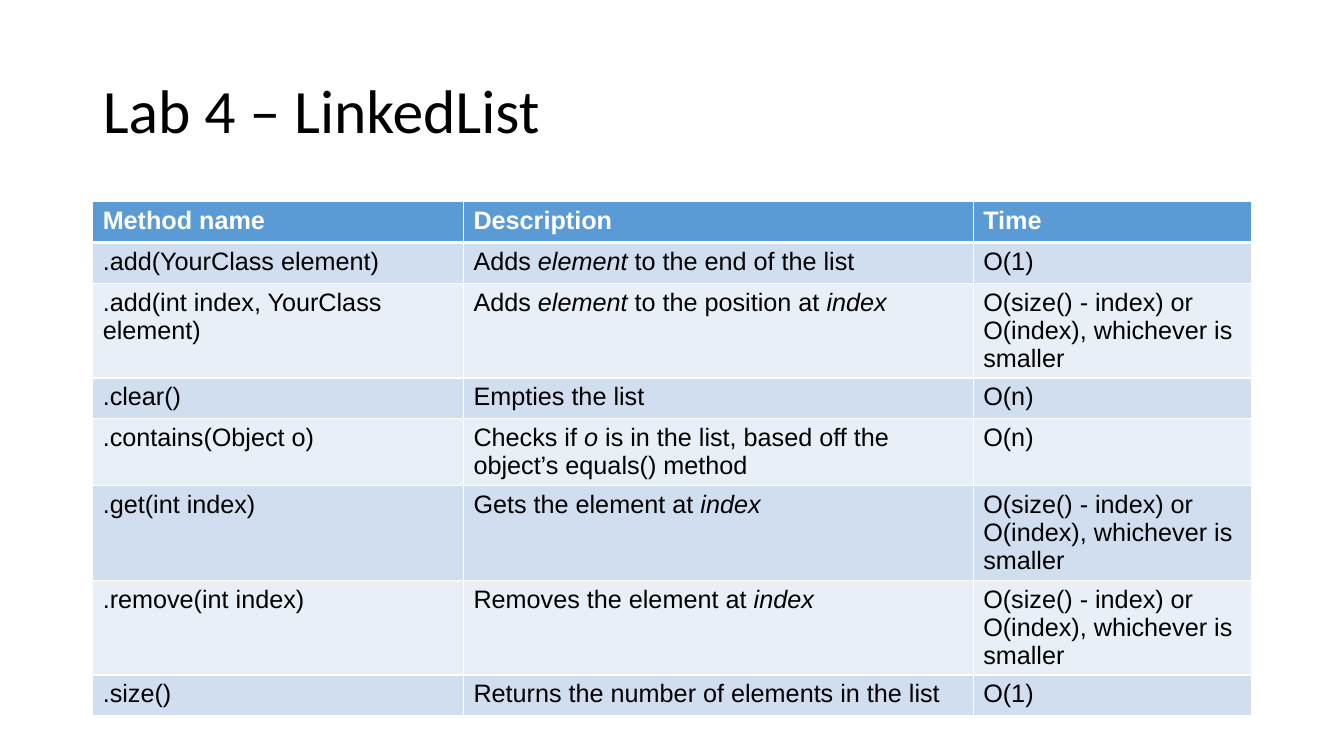
"""Build the Lab 4 slide that lists LinkedList methods and their running times."""
from dataclasses import dataclass

from lxml.etree import SubElement
from pptx import Presentation
from pptx.dml.color import RGBColor
from pptx.enum.text import MSO_ANCHOR, MSO_AUTO_SIZE, PP_ALIGN
from pptx.oxml.ns import qn
from pptx.util import Inches, Pt

COLORS = {
    "header": "5B9BD5",
    "odd": "D0DEEF",
    "even": "E9EFF7",
    "white": "FFFFFF",
    "black": "000000",
}
SLIDE_WIDTH, SLIDE_HEIGHT = Inches(13.333), Inches(7.5)
GRID_COLUMNS, GRID_ROWS = 29, 150
MARGIN_COLUMNS = 2
TITLE_TOP, TITLE_ROWS = 8, 29
TABLE_TOP, TABLE_ROW_ROWS = 40, 8.11
COLUMN_SPANS = (8, 11, 6)
HEADINGS = ("Method name", "Description", "Time")
NEAREST_END = "O(size() - index) or O(index), whichever is smaller"


@dataclass(frozen=True)
class Method:
    """A list method, with italic words of its description between asterisks."""
    signature: str
    description: str
    time: str


METHODS = (
    Method(".add(YourClass element)", "Adds *element* to the end of the list", "O(1)"),
    Method(".add(int index, YourClass element)",
           "Adds *element* to the position at *index*", NEAREST_END),
    Method(".clear()", "Empties the list", "O(n)"),
    Method(".contains(Object o)",
           "Checks if *o* is in the list, based off the object’s equals() method", "O(n)"),
    Method(".get(int index)", "Gets the element at *index*", NEAREST_END),
    Method(".remove(int index)", "Removes the element at *index*", NEAREST_END),
    Method(".size()", "Returns the number of elements in the list", "O(1)"),
)


def across(columns: float) -> int:
    """Return the width of a number of grid columns."""
    return round(SLIDE_WIDTH * columns / GRID_COLUMNS)


def down(rows: float) -> int:
    """Return the height of a number of grid rows."""
    return round(SLIDE_HEIGHT * rows / GRID_ROWS)


def write(frame, text: str, *, font: str = "Arial", size: float = 18,
          color: str = "black", bold: bool = False, spacing: float = 1.0) -> None:
    """Fill a text frame with one paragraph, italic between asterisks."""
    paragraph = frame.paragraphs[0]
    paragraph.alignment = PP_ALIGN.LEFT
    paragraph.line_spacing = spacing
    for position, part in enumerate(text.split("*")):
        if part:
            run = paragraph.add_run()
            run.text = part
            run.font.name = font
            run.font.size = Pt(size)
            run.font.bold = bold
            run.font.italic = position % 2 == 1
            run.font.color.rgb = RGBColor.from_string(COLORS[color])


def add_borders(cell, top: float, bottom: float) -> None:
    """Draw white borders of the given point widths around a cell."""
    properties = cell._tc.get_or_add_tcPr()
    for side, width in (("L", 1), ("R", 1), ("T", top), ("B", bottom)):
        border = SubElement(properties, qn(f"a:ln{side}"), w=str(Pt(width)))
        fill = SubElement(border, qn("a:solidFill"))
        SubElement(fill, qn("a:srgbClr"), val=COLORS["white"])


def add_title(slide, text: str) -> None:
    """Place and fill the title placeholder."""
    title = slide.shapes.title
    title.left, title.top = across(MARGIN_COLUMNS), down(TITLE_TOP)
    title.width, title.height = across(sum(COLUMN_SPANS)), down(TITLE_ROWS)
    frame = title.text_frame
    frame.auto_size = MSO_AUTO_SIZE.NONE
    frame.vertical_anchor = MSO_ANCHOR.MIDDLE
    write(frame, text, font="Calibri", size=44, spacing=0.9)


def add_method_table(slide) -> None:
    """Draw the heading row and one banded row for each method."""
    entries = [HEADINGS] + [(m.signature, m.description, m.time) for m in METHODS]
    table = slide.shapes.add_table(
        len(entries), len(HEADINGS), across(MARGIN_COLUMNS), down(TABLE_TOP),
        across(sum(COLUMN_SPANS)), down(TABLE_ROW_ROWS * len(entries))).table
    for column, span in zip(table.columns, COLUMN_SPANS):
        column.width = across(span)
    for number, (row, texts) in enumerate(zip(table.rows, entries)):
        row.height = down(TABLE_ROW_ROWS)
        heading = number == 0
        band = "header" if heading else "odd" if number % 2 else "even"
        for cell, text in zip(row.cells, texts):
            add_borders(cell, top=3 if number == 1 else 1, bottom=3 if heading else 1)
            cell.fill.solid()
            cell.fill.fore_color.rgb = RGBColor.from_string(COLORS[band])
            write(cell.text_frame, text, color="white" if heading else "black", bold=heading)


def main() -> None:
    """Build and save the presentation."""
    presentation = Presentation()
    presentation.slide_width, presentation.slide_height = SLIDE_WIDTH, SLIDE_HEIGHT
    slide = presentation.slides.add_slide(presentation.slide_layouts.get_by_name("Title Only"))
    add_title(slide, "Lab 4 – LinkedList")
    add_method_table(slide)
    presentation.save("out.pptx")


if __name__ == "__main__":
    main()
